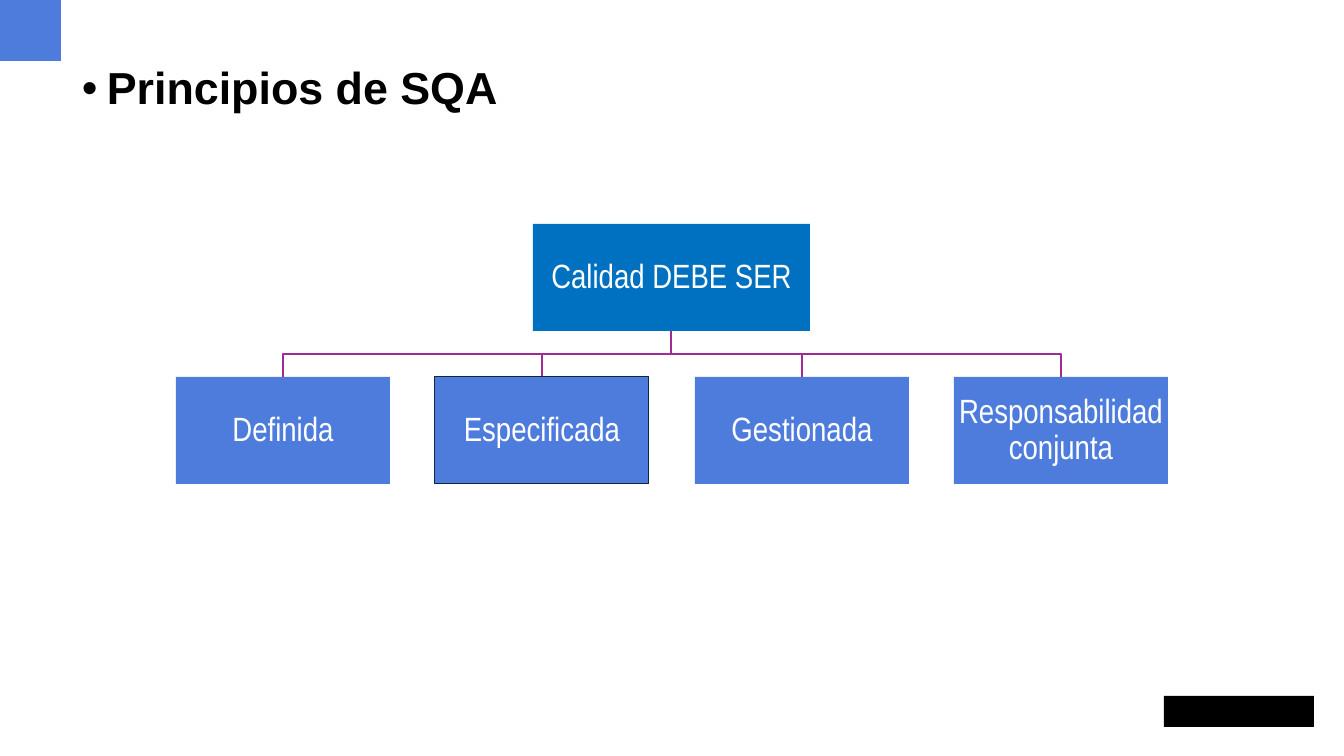
from dataclasses import dataclass
from typing import Optional

from lxml.etree import SubElement
from pptx import Presentation
from pptx.dml.color import RGBColor
from pptx.enum.shapes import MSO_SHAPE as Kind
from pptx.enum.text import MSO_ANCHOR as Anchor, PP_ALIGN as Align
from pptx.oxml.ns import qn
from pptx.util import Emu, Pt

SCALE = 914400 / 100.8  # EMU in one px
BLUE, DEEP, NAVY = "4E7CDD", "0070C0", "0E2841"
PLUM, BLACK, WHITE = "A02B93", "000000", "FFFFFF"
TITLE = {"name": "Arial", "size": Pt(32), "bold": True}
LABEL = {"name": "Arial Narrow", "size": Pt(24)}


@dataclass
class Box:
    left: int
    top: int
    width: int
    height: int
    fill: str
    text: str = ""
    edge: Optional[str] = None

    @property
    def mid(self) -> int:
        return self.left + self.width // 2


def px(num: int) -> Emu:
    return Emu(round(num * SCALE))


def tint(code: str) -> RGBColor:
    return RGBColor.from_string(code)


def style(font, look: dict, color: str) -> None:
    for name, value in look.items():
        setattr(font, name, value)
    font.color.rgb = tint(color)


def draw_box(slide, box: Box) -> None:
    shape = slide.shapes.add_shape(
        Kind.RECTANGLE, px(box.left), px(box.top), px(box.width), px(box.height))
    shape.shadow.inherit = False
    shape.fill.solid()
    shape.fill.fore_color.rgb = tint(box.fill)
    if box.edge:
        shape.line.color.rgb = tint(box.edge)
        shape.line.width = Pt(0.75)
    else:
        shape.line.fill.background()
    if box.text:
        frame = shape.text_frame
        layout = {"word_wrap": True, "vertical_anchor": Anchor.MIDDLE}
        layout |= {f"margin_{side}": px(2) for side in ("left", "top", "right", "bottom")}
        for name, value in layout.items():
            setattr(frame, name, value)
        para = frame.paragraphs[0]
        para.text = box.text
        para.alignment = Align.CENTER
        para.line_spacing = 0.9
        style(para.font, LABEL, WHITE)


def draw_branch(slide, root: Box, leaf: Box, bus: int) -> None:
    start = root.top + root.height
    pen = slide.shapes.build_freeform(px(root.mid), px(start))
    turns = ((root.mid, bus), (leaf.mid, bus), (leaf.mid, leaf.top))
    pen.add_line_segments([(px(x), px(y)) for x, y in turns], close=False)
    branch = pen.convert_to_shape()
    branch.shadow.inherit = False
    branch.fill.background()
    branch.line.color.rgb = tint(PLUM)
    branch.line.width = Pt(1)


def draw_title(slide, text: str) -> None:
    frame = slide.shapes.add_textbox(px(72), px(61), px(542), px(51)).text_frame
    frame.word_wrap = True
    para = frame.paragraphs[0]
    para.text = text
    para.line_spacing = 0.9
    props = para._p.get_or_add_pPr()
    props.set("marL", str(px(25)))
    props.set("indent", str(-px(25)))
    SubElement(props, qn("a:buFont"), typeface="Arial")
    SubElement(props, qn("a:buChar"), char="•")
    style(para.font, TITLE, BLACK)


def draw_tree(slide) -> None:
    root = Box(533, 224, 277, 107, DEEP, "Calidad DEBE SER")
    names = ("Definida", "Especificada", "Gestionada", "Responsabilidad conjunta")
    first, span = 176, 778
    leaves = [
        Box(first + round(i * span / 3), 377, 214, 107, BLUE, name,
            NAVY if name == "Especificada" else None)
        for i, name in enumerate(names)
    ]
    # Branches behind the boxes
    for leaf in reversed(leaves):
        draw_branch(slide, root, leaf, 354)
    # Root and leaves
    for box in (root, *leaves):
        draw_box(slide, box)


def main() -> None:
    deck = Presentation()
    deck.slide_width, deck.slide_height = px(1344), px(756)
    slide = deck.slides.add_slide(deck.slide_layouts[6])
    # Corner square
    draw_box(slide, Box(0, 0, 61, 61, BLUE))
    # Plain block at the lower right
    draw_box(slide, Box(1164, 696, 150, 31, BLACK))
    draw_title(slide, "Principios de SQA")
    draw_tree(slide)
    deck.save("out.pptx")


if __name__ == "__main__":
    main()
